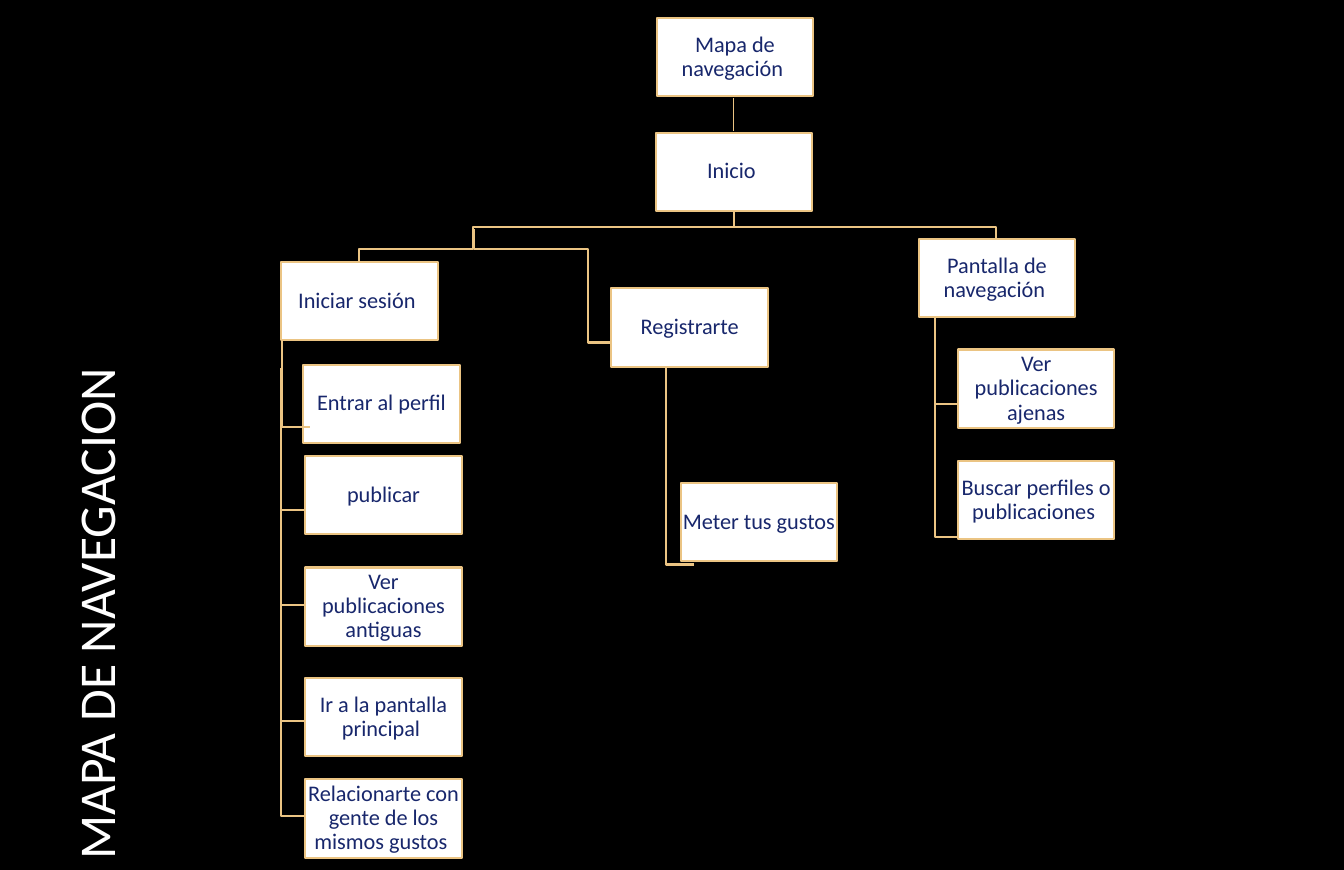
from pptx import Presentation
from pptx.dml.color import RGBColor
from pptx.enum.shapes import MSO_CONNECTOR, MSO_SHAPE
from pptx.enum.text import MSO_ANCHOR as Anchor, MSO_AUTO_SIZE as AutoSize, PP_ALIGN as Align
from pptx.oxml.ns import qn
from pptx.util import Cm, Pt
from lxml import etree

PX = 9144  # 100 px to the inch
SLIDE_WIDTH, SLIDE_HEIGHT = Cm(34), Cm(22)
BOX_WIDTH, BOX_HEIGHT = 156, 78
FONT = "Calibri"

BLACK = RGBColor(0x00, 0x00, 0x00)
WHITE = RGBColor(0xFF, 0xFF, 0xFF)
GOLD = RGBColor(0xEB, 0xC4, 0x83)
NAVY = RGBColor(0x18, 0x27, 0x6C)

# Left, top and label of each screen
SCREENS = [
    (654, 18, "Mapa de navegación "),
    (653, 132, "Inicio "),
    (280, 261, "Iniciar sesión "),
    (302, 363, "Entrar al perfil"),
    (304, 454, "publicar"),
    (304, 565, "Ver publicaciones antiguas"),
    (304, 675, "Ir a la pantalla principal "),
    (304, 776, "Relacionarte con gente de los mismos gustos "),
    (609, 287, "Registrarte"),
    (678, 481, "Meter tus gustos"),
    (915, 238, "Pantalla de navegación "),
    (954, 348, "Ver publicaciones ajenas"),
    (954, 459, "Buscar perfiles o publicaciones "),
]

# Start x, start y, end x, end y of the branches that fork from a parent
FORKS = [
    (731, 206, 992, 245),
    (731, 206, 471, 245),
    (472, 228, 586, 268),
    (471, 228, 358, 268),
]

# Trunk x, top, bottom and right end of the branches that hang at the side
SIDE_BRANCHES = [
    (931, 316, 535, 959),
    (931, 316, 402, 959),
    (280, 366, 718, 309),
    (280, 382, 602, 309),
    (280, 421, 508, 309),
    (280, 459, 812, 309),
    (663, 342, 562, 691),
    (586, 255, 341, 614),
]
PROFILE_BRANCH = (281, 339, 425, 309)


def style_runs(paragraph, size, color):
    for run in paragraph.runs:
        run.font.name = FONT
        run.font.size = Pt(size)
        run.font.color.rgb = color


def add_title(slide, text):
    title = slide.shapes.title
    title.left, title.top = -201 * PX, 479 * PX
    title.width, title.height = 590 * PX, 184 * PX
    title.rotation = 270
    frame = title.text_frame
    frame.text = text
    frame.auto_size = AutoSize.NONE
    frame.vertical_anchor = Anchor.MIDDLE
    frame.paragraphs[0].alignment = Align.LEFT
    style_runs(frame.paragraphs[0], 37, WHITE)


def add_screen(slide, left, top, label):
    shape = slide.shapes.add_shape(
        MSO_SHAPE.RECTANGLE, left * PX, top * PX, BOX_WIDTH * PX, BOX_HEIGHT * PX)
    shape.shadow.inherit = False
    shape.fill.solid()
    shape.fill.fore_color.rgb = WHITE
    shape.line.color.rgb = GOLD
    shape.line.width = Pt(1.5)
    frame = shape.text_frame
    frame.text = label
    frame.word_wrap = True
    frame.vertical_anchor = Anchor.MIDDLE
    frame.margin_left = frame.margin_right = PX
    frame.margin_top = frame.margin_bottom = PX
    paragraph = frame.paragraphs[0]
    paragraph.alignment = Align.CENTER
    paragraph.line_spacing = 0.9
    style_runs(paragraph, 16, NAVY)


def add_polyline(slide, points):
    builder = slide.shapes.build_freeform(*points[0], scale=PX)
    builder.add_line_segments(points[1:], close=False)
    shape = builder.convert_to_shape()
    shape.shadow.inherit = False
    shape.fill.background()
    shape.line.color.rgb = GOLD
    shape.line.width = Pt(1.5)


def add_fork(slide, start_x, start_y, end_x, end_y):
    middle = (start_y + end_y + 1) // 2
    add_polyline(slide, [(start_x, start_y), (start_x, middle), (end_x, middle), (end_x, end_y)])


def add_side_branch(slide, trunk, top, bottom, right):
    add_polyline(slide, [(trunk, top), (trunk, bottom), (right, bottom)])


def add_vertical_line(slide, x, top, bottom):
    connector = slide.shapes.add_connector(
        MSO_CONNECTOR.STRAIGHT, x * PX, top * PX, x * PX, bottom * PX)
    connector.line.color.rgb = GOLD
    connector.line.width = Pt(0.75)
    etree.SubElement(connector._element.spPr, qn("a:effectLst"))


def main():
    presentation = Presentation()
    presentation.slide_width = SLIDE_WIDTH
    presentation.slide_height = SLIDE_HEIGHT
    slide = presentation.slides.add_slide(presentation.slide_layouts[5])
    slide.background.fill.solid()
    slide.background.fill.fore_color.rgb = BLACK
    add_title(slide, "MAPA DE NAVEGACION")

    # Branches run behind the screens
    for fork in FORKS:
        add_fork(slide, *fork)
    for branch in SIDE_BRANCHES:
        add_side_branch(slide, *branch)

    for screen in SCREENS:
        add_screen(slide, *screen)

    # Lines in front of the screens
    add_side_branch(slide, *PROFILE_BRANCH)
    add_vertical_line(slide, 731, 98, 130)

    presentation.save("out.pptx")


if __name__ == "__main__":
    main()
